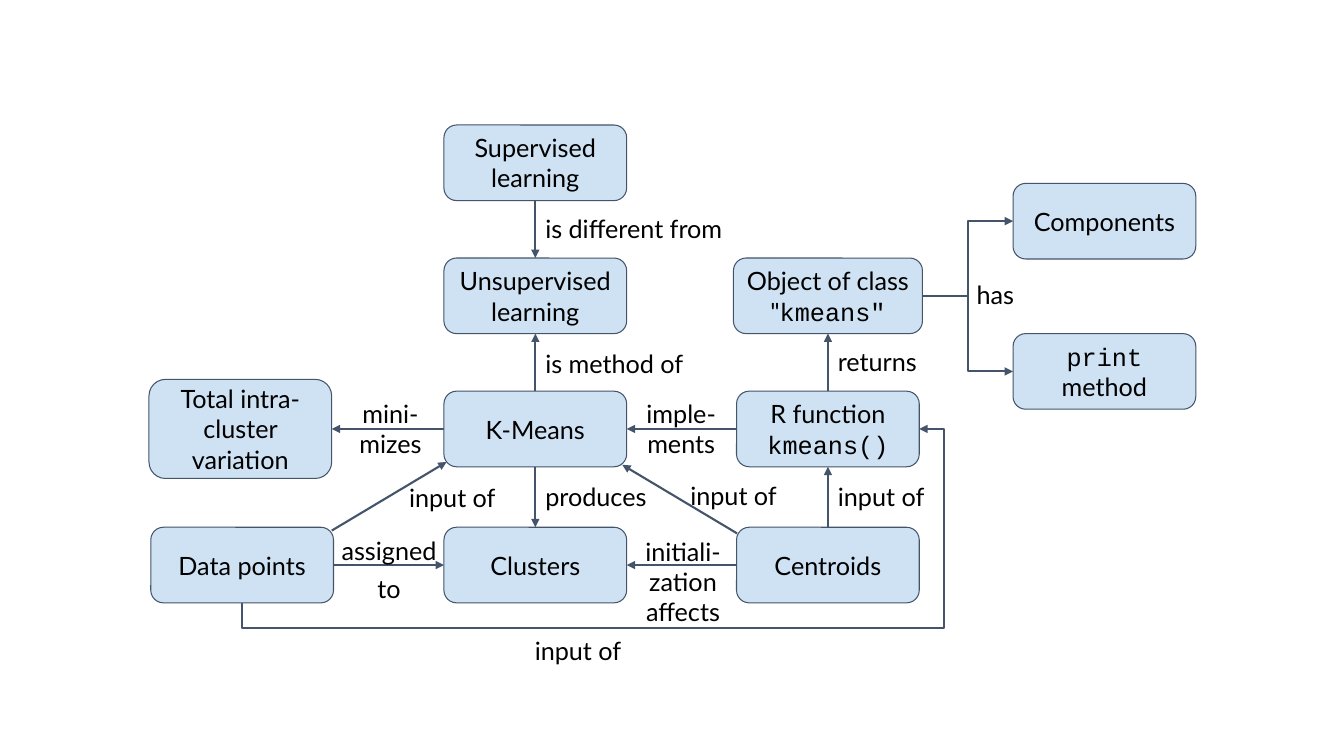
"""Draw a concept map of k-means clustering as boxes, arrows and labels."""
from lxml import etree
from pptx import Presentation
from pptx.dml.color import RGBColor
from pptx.enum import shapes, text
from pptx.oxml import ns
from pptx.util import Pt

COLORS = {"box": "CFE2F3", "line": "44546A", "text": "000000"}
BODY, CODE = "Lato", "Courier New"
FONT_SIZE = 18
BOX_WIDTH, BOX_HEIGHT = 130.5, 54
COLUMNS = {"data": 173, "method": 382.4, "code": 591.4, "parts": 788.9}
ROWS = {"top": 116.3, "components": 158, "learning": 211.3,
        "print": 265.3, "middle": 306.4, "bottom": 403.6}
TOP, LEFT, BOTTOM, RIGHT = range(4)

BOXES = {
    "supervised": ("method", "top", [("Supervised learning", BODY)]),
    "unsupervised": ("method", "learning", [("Unsupervised learning", BODY)]),
    "k-means": ("method", "middle", [("K-Means", BODY)]),
    "clusters": ("method", "bottom", [("Clusters", BODY)]),
    "variation": ("data", "middle", [("Total intra-cluster variation", BODY)]),
    "data points": ("data", "bottom", [("Data points", BODY)]),
    "centroids": ("code", "bottom", [("Centroids", BODY)]),
    "function": ("code", "middle", [("R function ", BODY), ("kmeans()", CODE)]),
    "object": ("code", "learning", [('Object of class "', BODY), ('kmeans"', CODE)]),
    "print": ("parts", "print", [("print", CODE), (" method", BODY)]),
    "components": ("parts", "components", [("Components", BODY)]),
}
SPECIAL_SIZES = {"variation": (BOX_WIDTH, 70.8), "object": (135, BOX_HEIGHT)}
SHIFTS = {"variation": -1.3}

JOINS = [
    ("supervised", BOTTOM, "unsupervised", TOP),
    ("k-means", TOP, "unsupervised", BOTTOM),
    ("k-means", LEFT, "variation", RIGHT),
    ("k-means", BOTTOM, "clusters", TOP),
    ("data points", RIGHT, "clusters", LEFT),
    ("function", LEFT, "k-means", RIGHT),
    ("centroids", LEFT, "clusters", RIGHT),
    ("function", TOP, "object", BOTTOM),
    ("centroids", TOP, "function", BOTTOM),
    ("object", RIGHT, "components", LEFT),
    ("object", RIGHT, "print", LEFT),
]
DIAGONALS = [(237, 379, 319, 330), (526.5, 381, 444.5, 332)]
FEEDBACK_X, FEEDBACK_Y = 674.6, 448.6

CENTER, START = text.PP_ALIGN.CENTER, text.PP_ALIGN.LEFT
LABELS = [
    ("mini-mizes", 246.2, 280.8, 65.5, 51, CENTER, 1),
    ("is different from", 382.4, 149, 157.7, 29, START, 1),
    ("is method of", 382.4, 245.5, 157.7, 29, START, 1),
    ("produces", 382.4, 340.5, 97.2, 29, START, 1),
    ("assigned to", 234.7, 373.7, 86.4, 60, CENTER, 1.25),
    ("input of", 285.1, 341.3, 97.2, 29, START, 1),
    ("imple-ments", 447.3, 280.8, 78.5, 51, CENTER, 1),
    ("input of", 486, 339.3, 97.2, 29, START, 1),
    ("initiali-zation affects", 448.6, 379.4, 78.5, 72.7, CENTER, 1),
    ("returns", 591.4, 244.1, 82.1, 29, START, 1),
    ("has", 690.5, 195.8, 45.4, 29, START, 1),
    ("input of", 364.3, 450, 97.2, 29, CENTER, 1),
    ("input of", 591.4, 340.5, 97.2, 29, START, 1),
]


def rgb(name):
    return RGBColor.from_string(COLORS[name])


def write(paragraph, pieces, alignment=CENTER):
    paragraph.alignment = alignment
    for words, font_name in pieces:
        run = paragraph.add_run()
        run.text = words
        run.font.name = font_name
        run.font.size = Pt(FONT_SIZE)
        run.font.color.rgb = rgb("text")


def add_box(slide, name, column, row, pieces):
    width, height = SPECIAL_SIZES.get(name, (BOX_WIDTH, BOX_HEIGHT))
    left = COLUMNS[column] + SHIFTS.get(name, 0) - width / 2
    box = slide.shapes.add_shape(
        shapes.MSO_SHAPE.ROUNDED_RECTANGLE,
        Pt(left), Pt(ROWS[row] - height / 2), Pt(width), Pt(height))
    box.shadow.inherit = False
    box.fill.solid()
    box.fill.fore_color.rgb = rgb("box")
    box.line.color.rgb = rgb("line")
    box.line.width = Pt(0.75)
    frame = box.text_frame
    frame.word_wrap = True
    frame.vertical_anchor = text.MSO_ANCHOR.MIDDLE
    frame.margin_left = frame.margin_right = Pt(2.9)
    frame.margin_top = frame.margin_bottom = Pt(2.9)
    write(frame.paragraphs[0], pieces)
    return box


def style_arrow(arrow):
    arrow.line.color.rgb = rgb("line")
    arrow.line.width = Pt(1.5)
    tip = etree.SubElement(arrow.line._get_or_add_ln(), ns.qn("a:tailEnd"))
    tip.set("type", "triangle")


def add_arrow(slide, kind, points=(0, 0, 0, 0)):
    arrow = slide.shapes.add_connector(kind, *[Pt(value) for value in points])
    style_arrow(arrow)
    etree.SubElement(arrow._element.spPr, ns.qn("a:effectLst"))
    return arrow


def add_feedback(slide):
    start_x = COLUMNS["data"]
    end_x = COLUMNS["code"] + BOX_WIDTH / 2
    builder = slide.shapes.build_freeform(
        Pt(start_x), Pt(ROWS["bottom"] + BOX_HEIGHT / 2))
    corners = [(start_x, FEEDBACK_Y), (FEEDBACK_X, FEEDBACK_Y),
               (FEEDBACK_X, ROWS["middle"]), (end_x, ROWS["middle"])]
    builder.add_line_segments([(Pt(x), Pt(y)) for x, y in corners], close=False)
    feedback = builder.convert_to_shape()
    feedback.shadow.inherit = False
    feedback.fill.background()
    style_arrow(feedback)


def add_label(slide, words, left, top, width, height, alignment, spacing):
    label = slide.shapes.add_textbox(Pt(left), Pt(top), Pt(width), Pt(height))
    frame = label.text_frame
    frame.word_wrap = True
    frame.auto_size = text.MSO_AUTO_SIZE.SHAPE_TO_FIT_TEXT
    frame.paragraphs[0].line_spacing = float(spacing)
    write(frame.paragraphs[0], [(words, BODY)], alignment)


def main():
    presentation = Presentation()
    presentation.slide_width, presentation.slide_height = Pt(960), Pt(540)
    slide = presentation.slides.add_slide(presentation.slide_layouts[6])
    boxes = {name: add_box(slide, name, *details) for name, details in BOXES.items()}
    for source, source_side, target, target_side in JOINS:
        bent = BOXES[target][0] == "parts"
        kind = shapes.MSO_CONNECTOR.ELBOW if bent else shapes.MSO_CONNECTOR.STRAIGHT
        arrow = add_arrow(slide, kind)
        arrow.begin_connect(boxes[source], source_side)
        arrow.end_connect(boxes[target], target_side)
    for points in DIAGONALS:
        add_arrow(slide, shapes.MSO_CONNECTOR.STRAIGHT, points)
    add_feedback(slide)
    for label in LABELS:
        add_label(slide, *label)
    presentation.save("out.pptx")


if __name__ == "__main__":
    main()
